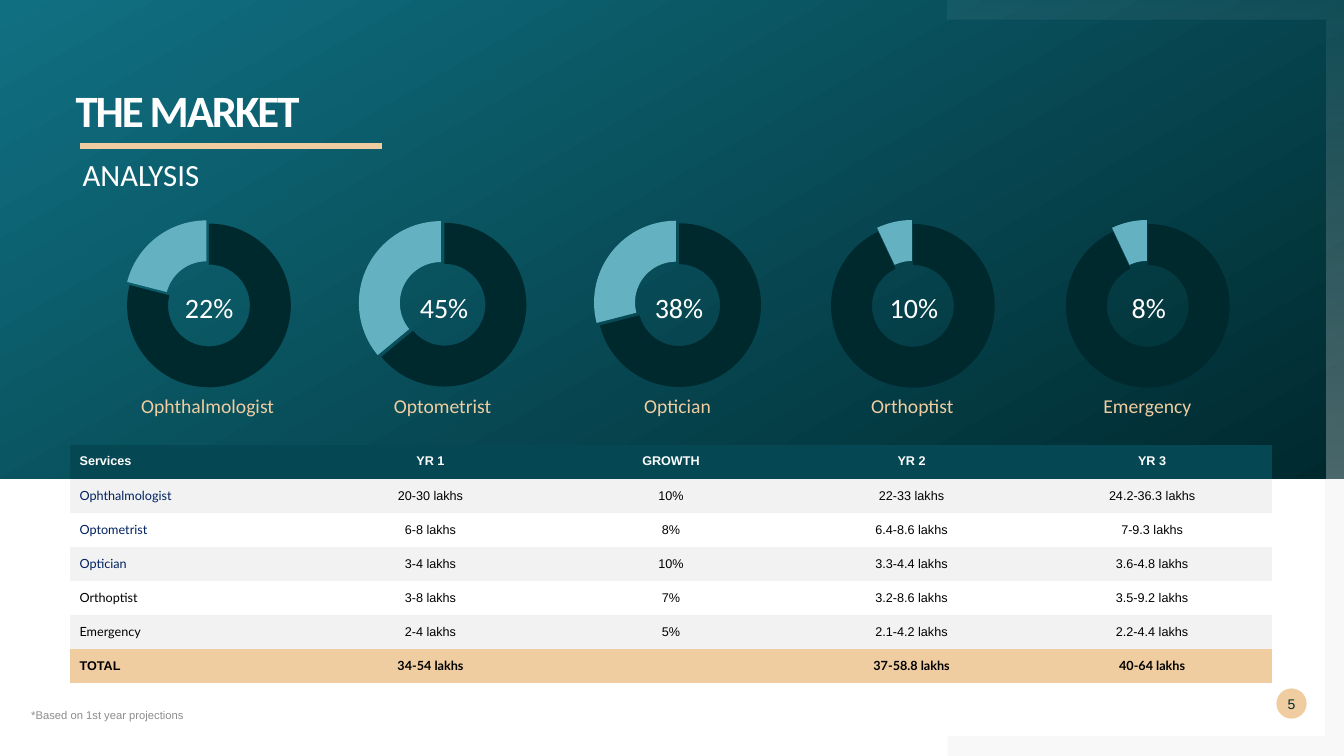
from lxml import etree
from pptx import Presentation
from pptx import util as u
from pptx.chart.data import CategoryChartData
from pptx.dml.color import RGBColor
from pptx.enum import chart as charts, shapes, text
from pptx.oxml.ns import qn

WHITE, BLACK, INK, SAND = "FFFFFF", "000000", "00292E", "F0CDA1"
TEAL, SKY, HEADER, NAVY = "107082", "64B2C1", "054854", "002060"
STRIPE, GREY, FRAME = "F2F2F2", "8C8C8C", "808080"
PLAIN_TABLE = "{2D5ABB26-0587-4C30-8999-92F81FD0307C}"
CENTER, LEFT = text.PP_ALIGN.CENTER, text.PP_ALIGN.LEFT
TOP, MIDDLE, BOTTOM = text.MSO_ANCHOR.TOP, text.MSO_ANCHOR.MIDDLE, text.MSO_ANCHOR.BOTTOM

SERVICES = [
    ("Ophthalmologist", "22%", 21),
    ("Optometrist", "45%", 36),
    ("Optician", "38%", 29),
    ("Orthoptist", "10%", 7),
    ("Emergency", "8%", 7),
]
PROJECTIONS = [
    ["Services", "YR 1", "GROWTH", "YR 2", "YR 3"],
    ["Ophthalmologist", "20-30 lakhs", "10%", "22-33 lakhs", "24.2-36.3 lakhs"],
    ["Optometrist", "6-8 lakhs", "8%", "6.4-8.6 lakhs", "7-9.3 lakhs"],
    ["Optician", "3-4 lakhs", "10%", "3.3-4.4 lakhs", "3.6-4.8 lakhs"],
    ["Orthoptist", "3-8 lakhs", "7%", "3.2-8.6 lakhs", "3.5-9.2 lakhs"],
    ["Emergency", "2-4 lakhs", "5%", "2.1-4.2 lakhs", "2.2-4.4 lakhs"],
    ["TOTAL", "34-54 lakhs", "", "37-58.8 lakhs", "40-64 lakhs"],
]


def rgb(value):
    return RGBColor.from_string(value)


def inches(*values):
    return [u.Inches(value) for value in values]


def write(frame, words, size=10, font="Arial", color=BLACK, bold=False, align=LEFT,
          anchor=TOP, margins=(0, 0), spacing=None, tracking=None):
    frame.word_wrap = True
    frame.auto_size = text.MSO_AUTO_SIZE.NONE
    frame.vertical_anchor = anchor
    frame.margin_left = frame.margin_right = u.Inches(margins[0])
    frame.margin_top = frame.margin_bottom = u.Inches(margins[1])
    paragraph = frame.paragraphs[0]
    paragraph.alignment = align
    if spacing:
        paragraph.line_spacing = spacing
    if not words:
        paragraph._p.get_or_add_endParaRPr().set("sz", str(size * 100))
        return
    run = paragraph.add_run()
    run.text = words
    run.font.size, run.font.name, run.font.bold = u.Pt(size), font, bold
    run.font.color.rgb = rgb(color)
    if tracking:
        run._r.get_or_add_rPr().set("spc", str(int(tracking * 100)))


class MarketSlide:
    def __init__(self, presentation):
        self.slide = presentation.slides.add_slide(presentation.slide_layouts[5])
        self.shapes = self.slide.shapes

    def paint(self, shape, colors, alphas=(), angle=0):
        shape.shadow.inherit = False
        shape.line.fill.background()
        if not colors:
            shape.fill.background()
        elif len(colors) == 1:
            shape.fill.solid()
            shape.fill.fore_color.rgb = rgb(colors[0])
        else:
            shape.fill.gradient()
            shape.fill.gradient_angle = angle
            for stop, color in zip(shape.fill.gradient_stops, colors):
                stop.color.rgb = rgb(color)
        for node, alpha in zip(list(shape._element.spPr.iter(qn("a:srgbClr"))), alphas):
            etree.SubElement(node, qn("a:alpha")).set("val", str(alpha * 1000))
        return shape

    def preset(self, kind, box, colors=(), **paint):
        return self.paint(self.shapes.add_shape(kind, *inches(*box)), colors, **paint)

    def outline(self, points, colors, **paint):
        points = [tuple(inches(*point)) for point in points]
        builder = self.shapes.build_freeform(*points[0])
        builder.add_line_segments(points[1:], close=True)
        return self.paint(builder.convert_to_shape(), colors, **paint)

    def title(self, words, box, **style):
        title = self.shapes.title
        title.left, title.top, title.width, title.height = inches(*box)
        self.shapes._spTree.append(title._element)
        write(title.text_frame, words, **style)

    def label(self, words, box, **style):
        write(self.shapes.add_textbox(*inches(*box)).text_frame, words, **style)

    def disc(self, words, box, colors=(), **style):
        disc = self.preset(shapes.MSO_SHAPE.OVAL, box, colors)
        write(disc.text_frame, words, align=CENTER, anchor=MIDDLE, **style)

    def rule(self, start, end, color, width):
        line = self.shapes.add_connector(shapes.MSO_CONNECTOR.STRAIGHT, *inches(*start, *end))
        line.line.color.rgb = rgb(color)
        line.line.width = u.Pt(width)
        etree.SubElement(line._element.spPr, qn("a:effectLst"))

    def doughnut(self, share, box):
        data = CategoryChartData()
        data.categories = ["1", "2"]
        data.add_series("Series 1", (100 - share, share))
        chart = self.shapes.add_chart(charts.XL_CHART_TYPE.DOUGHNUT, *inches(*box), data).chart
        chart.has_legend = chart.has_title = False
        chart.font.size, chart.font.name = u.Pt(10), "Arial"
        chart.font.color.rgb = rgb(BLACK)
        series = chart.plots[0].series[0]
        for index, color in enumerate((INK, SKY)):
            style = series.points[index].format
            style.fill.solid()
            style.fill.fore_color.rgb = rgb(color)
            style.line.fill.background()
        explosion = etree.Element(qn("c:explosion"), val="5")
        series._element.find(qn("c:dPt")).addprevious(explosion)
        next(chart._chartSpace.iter(qn("c:holeSize"))).set("val", "60")

    def table(self, rows, box):
        graphic = self.shapes.add_table(len(rows), len(rows[0]), *inches(*box))
        table = graphic.table
        table.first_row = table.horz_banding = False
        table._tbl.tblPr.find(qn("a:tableStyleId")).text = PLAIN_TABLE
        last = len(rows) - 1
        for r, row in enumerate(rows):
            fill = HEADER if r == 0 else SAND if r == last else (WHITE, STRIPE)[r % 2]
            for c, words in enumerate(row):
                cell = table.cell(r, c)
                cell.fill.solid()
                cell.fill.fore_color.rgb = rgb(fill)
                cell.vertical_anchor = MIDDLE
                lato = c > 0 if r == last else c == 0 and r > 0
                color = WHITE if r == 0 else NAVY if c == 0 and r < 4 else BLACK
                write(cell.text_frame, words, size=9, font="Lato" if lato else "Arial",
                      color=color, bold=r in (0, last), align=CENTER if c else LEFT,
                      anchor=MIDDLE, margins=(0.1, 0.05))


def main():
    presentation = Presentation()
    presentation.slide_width, presentation.slide_height = inches(13.33, 7.5)
    market = MarketSlide(presentation)
    rectangle = shapes.MSO_SHAPE.RECTANGLE

    market.preset(rectangle, (0.74, 4.74, 11.85, 0.05), [BLACK], alphas=[56])
    market.preset(rectangle, (0, 0, 13.33, 4.75), [INK, TEAL], angle=120)
    market.outline([(9.4, 0), (13.33, 0), (13.33, 4.75), (13.14, 4.75), (13.14, 0.2), (9.4, 0.2)],
                   [WHITE, WHITE], alphas=[5, 30], angle=270)
    market.outline([(13.14, 4.75), (13.33, 4.75), (13.33, 7.5), (9.4, 7.5), (9.4, 7.3), (13.14, 7.3)],
                   [FRAME], alphas=[5])

    market.title("THE MARKET", (0.75, 0.88, 8.27, 0.4), size=32, font="Calibri",
                 color=WHITE, bold=True, spacing=0.9, tracking=-1.5)
    market.label("*Based on 1st year projections", (0.31, 6.77, 8.27, 0.39),
                 size=8, color=GREY, anchor=BOTTOM)
    market.disc("5", (12.66, 6.83, 0.3, 0.3), [SAND], color=INK)
    market.label("ANALYSIS", (0.82, 1.54, 8.2, 0.39), size=22, font="Calibri", color=WHITE)
    market.rule((0.79, 1.45), (3.79, 1.45), SAND, 4.32)

    for index, (service, percent, share) in enumerate(SERVICES):
        left = 1.09 + 2.33 * index
        market.doughnut(share, (left, 1.83, 1.94, 2.37))
        market.disc(percent, (left + 0.57, 2.63, 0.83, 0.83), size=20, font="Calibri", color=WHITE)
        market.label(service, (left, 3.86, 1.94, 0.34), size=14, font="Calibri",
                     color=SAND, align=CENTER, margins=(0.1, 0.05))

    market.table(PROJECTIONS, (0.69, 4.41, 11.93, 2.37))
    presentation.save("out.pptx")


if __name__ == "__main__":
    main()
